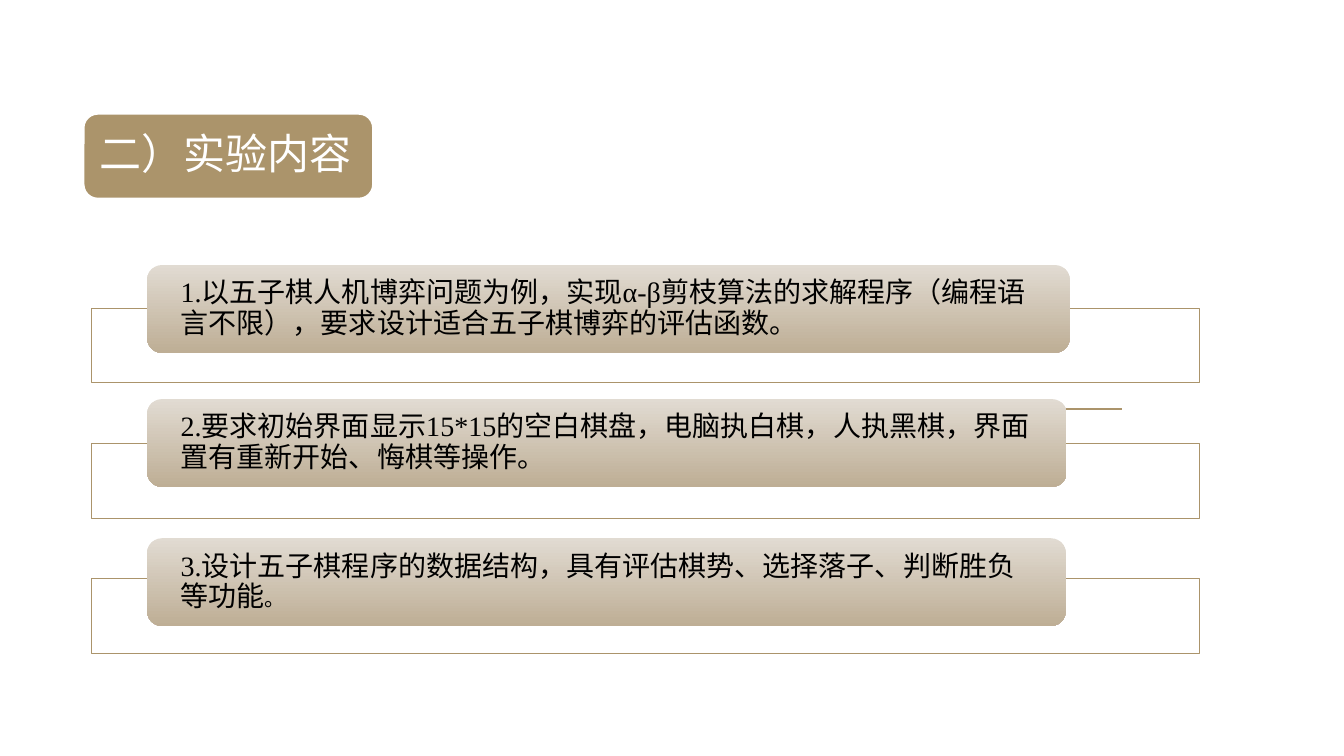
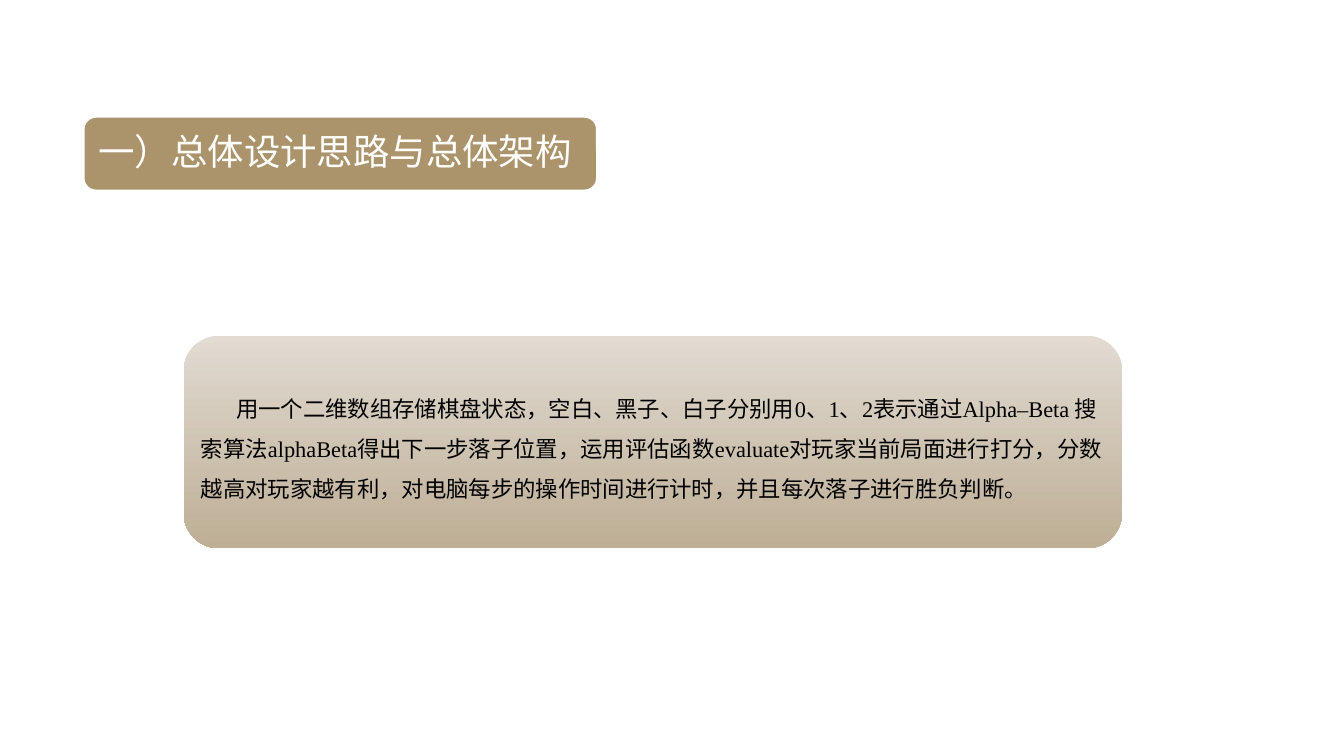
from dataclasses import dataclass

from lxml import etree
from pptx import Presentation
from pptx.dml.color import RGBColor
from pptx.enum.shapes import MSO_CONNECTOR, MSO_SHAPE
from pptx.enum.text import MSO_ANCHOR, PP_ALIGN
from pptx.oxml.ns import qn
from pptx.util import Inches, Pt

STRAIGHT = MSO_CONNECTOR.STRAIGHT
RECTANGLE = MSO_SHAPE.RECTANGLE
ROUNDED = MSO_SHAPE.ROUNDED_RECTANGLE
MIDDLE = MSO_ANCHOR.MIDDLE
LEFT = PP_ALIGN.LEFT


@dataclass(frozen=True)
class Theme:
    font: str = "Times New Roman"
    accent: RGBColor = RGBColor(0xAB, 0x94, 0x6B)
    white: RGBColor = RGBColor(0xFF, 0xFF, 0xFF)
    black: RGBColor = RGBColor(0x00, 0x00, 0x00)
    gradient: tuple = (RGBColor(0xE1, 0xDB, 0xD2), RGBColor(0xBE, 0xAE, 0x95))
    title_size: int = 30
    long_title_size: int = 26
    item_size: int = 20
    body_size: int = 16
    stop_size: int = 15
    rule_width: float = 1.25
    frame_width: float = 0.75


THEME = Theme()


def add_box(slide, left, top, width, height, runs=(), *, kind=ROUNDED, fill=None,
            line=None, line_width=THEME.rule_width, color=THEME.black,
            margins=(0, 0), spacing=0.9, indent=0):
    """Add a shape with (text, size) runs; without a fill it gets the theme gradient."""
    shape = slide.shapes.add_shape(
        kind, Inches(left), Inches(top), Inches(width), Inches(height))
    shape.shadow.inherit = False
    if fill is None:
        shape.fill.gradient()
        shape.fill.gradient_angle = 270
        for stop, position, stop_color in zip(
                shape.fill.gradient_stops, (0, 1), THEME.gradient):
            stop.position = position
            stop.color.rgb = stop_color
    else:
        shape.fill.solid()
        shape.fill.fore_color.rgb = fill
    if line is None:
        shape.line.fill.background()
    else:
        shape.line.color.rgb = line
        shape.line.width = Pt(line_width)
    if runs:
        frame = shape.text_frame
        frame.word_wrap = True
        frame.vertical_anchor = MIDDLE
        frame.margin_left = frame.margin_right = Inches(margins[0])
        frame.margin_top = frame.margin_bottom = Inches(margins[1])
        paragraph = frame.paragraphs[0]
        paragraph.alignment = LEFT
        paragraph.line_spacing = spacing
        if indent:
            paragraph._p.get_or_add_pPr().set("indent", str(Inches(indent)))
        for text, size in runs:
            run = paragraph.add_run()
            run.text = text
            run.font.name = THEME.font
            run.font.size = Pt(size)
            run.font.color.rgb = color
    return shape


def add_titled_slide(presentation, title, size, top, width, height, margin):
    """Add a slide with the shared rule and its title band."""
    slide = presentation.slides.add_slide(presentation.slide_layouts[6])
    rule = slide.shapes.add_connector(
        STRAIGHT, Inches(2.2), Inches(4.06), Inches(11.13), Inches(4.06))
    rule.line.color.rgb = THEME.accent
    rule.line.width = Pt(THEME.rule_width)
    etree.SubElement(rule._element.spPr, qn("a:effectLst"))
    add_box(slide, 0.83, top, width, height, [(title, size)], fill=THEME.accent,
            line=THEME.white, color=THEME.white, margins=(margin, margin))
    return slide


presentation = Presentation()
presentation.slide_width = Inches(13.33)
presentation.slide_height = Inches(7.5)

# Experiment content
content_slide = add_titled_slide(
    presentation, "二）实验内容", THEME.title_size, 1.13, 2.87, 0.84, 0.12)
items = [
    (2.63, 9.15, [("1.以五子棋人机博弈问题为例，实现α-β剪枝算法的求解程序（编程语言不限），"
                   "要求设计适合五子棋博弈的评估函数。", THEME.item_size)]),
    (3.96, 9.12, [("2.要求初始界面显示15*15的空白棋盘，电脑执白棋，人执黑棋，"
                   "界面置有重新开始、悔棋等操作。", THEME.item_size)]),
    (5.34, 9.11, [("3.设计五子棋程序的数据结构，具有评估棋势、选择落子、判断胜负等功能",
                   THEME.item_size), ("。", THEME.stop_size)]),
]
for index, (top, width, runs) in enumerate(items):
    add_box(content_slide, 0.91, 3.06 + index * 1.34, 10.99, 0.74, kind=RECTANGLE,
            fill=THEME.white, line=THEME.accent, line_width=THEME.frame_width)
    add_box(content_slide, 1.46, top, width, 0.87, runs, margins=(0.29, 0))

# Overall design
design_slide = add_titled_slide(
    presentation, "一）总体设计思路与总体架构", THEME.long_title_size,
    1.16, 5.09, 0.73, 0.11)
design_text = (
    "用一个二维数组存储棋盘状态，空白、黑子、白子分别用0、1、2表示"
    "通过Alpha–Beta 搜索算法alphaBeta得出下一步落子位置，"
    "运用评估函数evaluate对玩家当前局面进行打分，分数越高对玩家越有利，"
    "对电脑每步的操作时间进行计时，并且每次落子进行胜负判断。")
add_box(design_slide, 1.82, 3.33, 9.31, 2.11, [(design_text, THEME.body_size)],
        margins=(0.07, 0.07), spacing=1.5, indent=0.35)

presentation.save("out.pptx")
